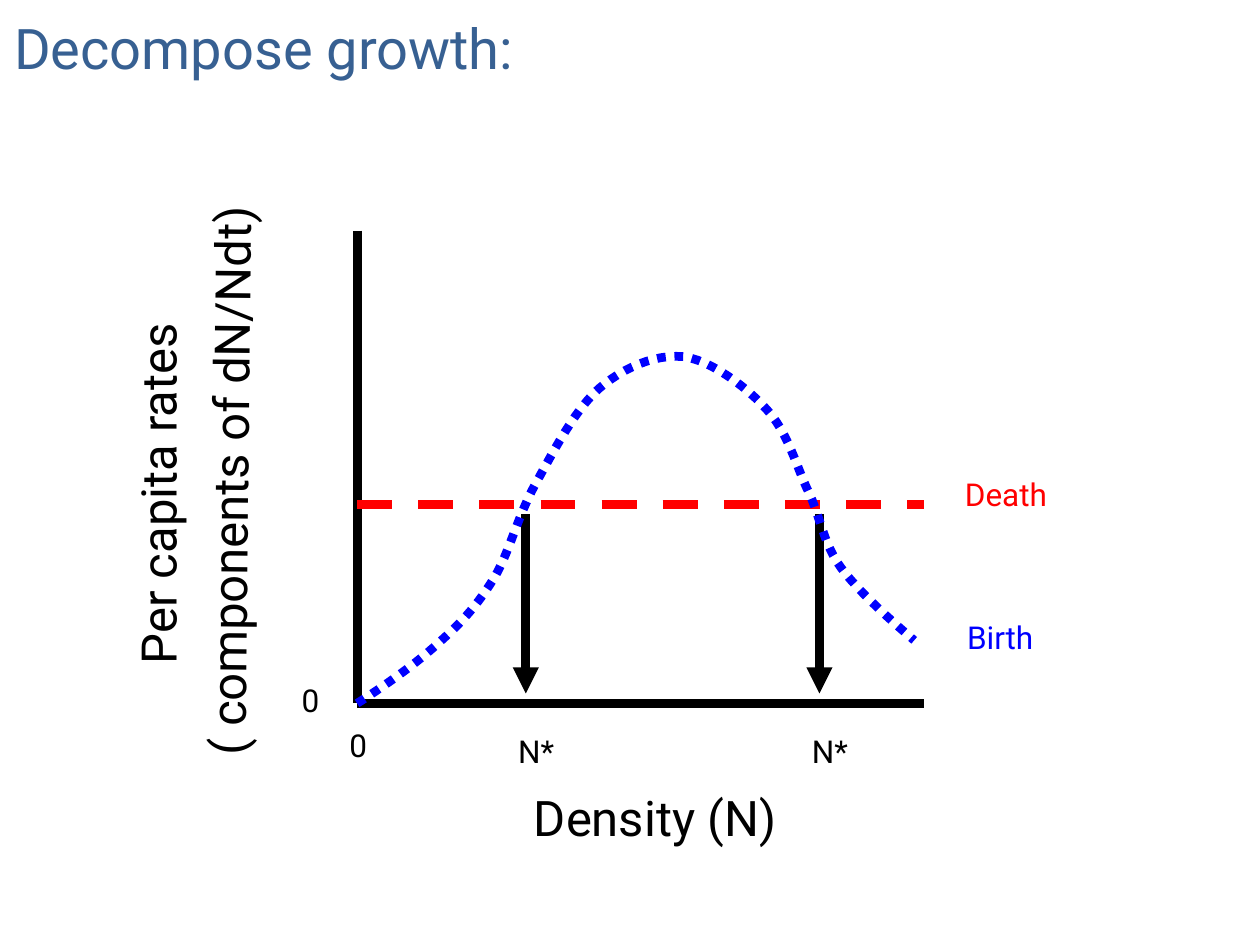
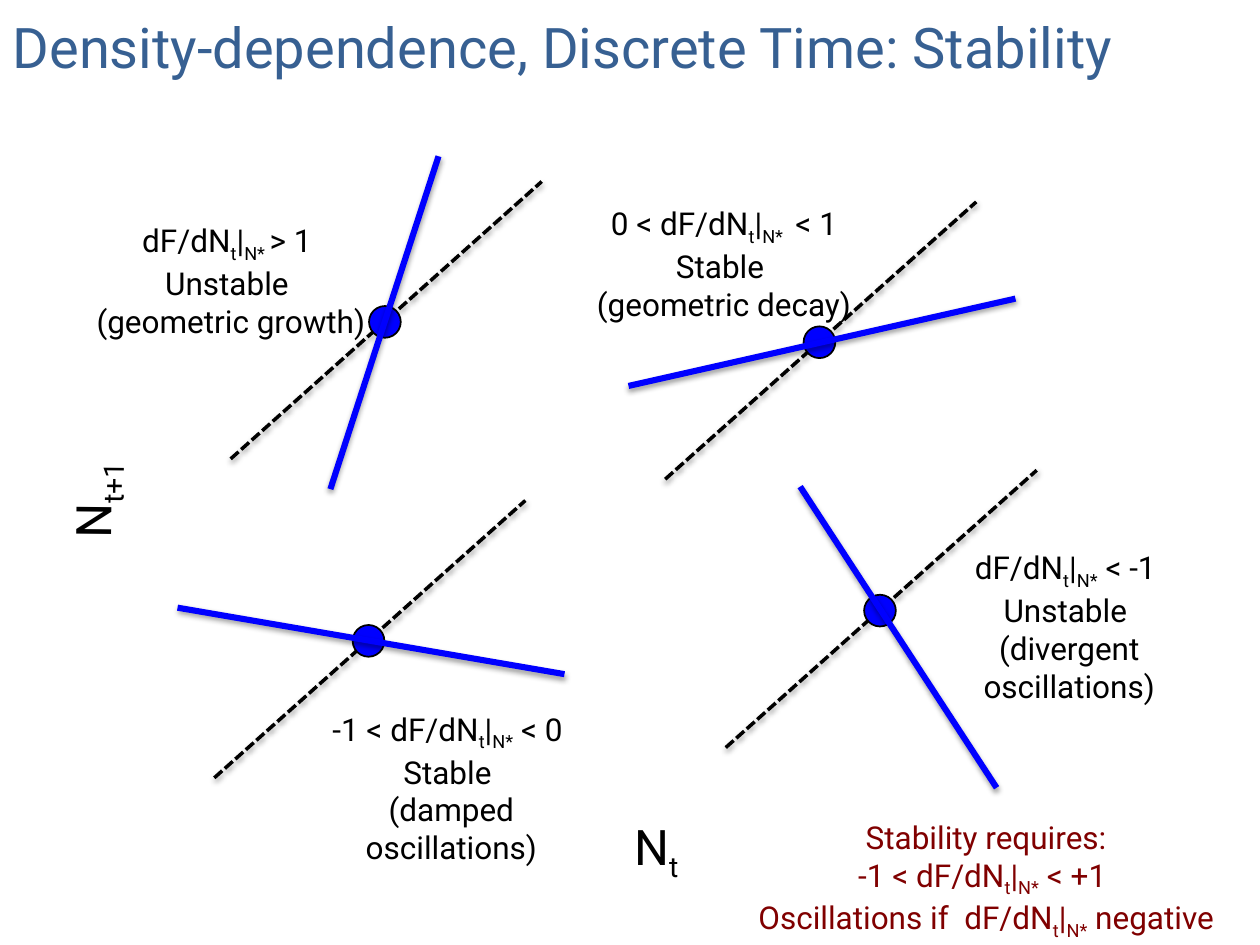
"""Build two slides on population growth and density-dependent stability."""
import lxml.etree
import pptx
import pptx.dml.color
import pptx.enum.dml
import pptx.enum.shapes
import pptx.enum.text
import pptx.oxml.ns
import pptx.util

Cm = pptx.util.Cm
Pt = pptx.util.Pt
RGBColor = pptx.dml.color.RGBColor
Dash = pptx.enum.dml.MSO_LINE
Align = pptx.enum.text.PP_ALIGN
AutoSize = pptx.enum.text.MSO_AUTO_SIZE

BLACK = RGBColor(0x00, 0x00, 0x00)
BLUE = RGBColor(0x00, 0x00, 0xFF)
RED = RGBColor(0xFF, 0x00, 0x00)
MAROON = RGBColor(0x80, 0x00, 0x00)
TITLE_BLUE = RGBColor(0x37, 0x60, 0x92)
FONT = "Roboto"
SUBSCRIPT_MARK = "~"
TITLE_ONLY = 5
AXIS_LABEL_SIZE = 28
DOT_SIZE = 0.64
DIAGONAL = (-3.11, 2.76, 3.16, -2.83)

BIRTH_START = (0, 0)
BIRTH_SEGMENTS = [
    ((0.64, 0.41), (1.24, 0.84), (1.7, 1.27)),
    ((2.16, 1.68), (2.44, 2.01), (2.77, 2.54)),
    ((3.07, 3.05), (3.25, 3.81), (3.61, 4.45)),
    ((3.96, 5.08), (4.39, 5.92), (4.88, 6.35)),
    ((5.36, 6.76), (5.99, 7.04), (6.58, 6.99)),
    ((7.14, 6.91), (7.85, 6.38), (8.26, 5.92)),
    ((8.69, 5.46), (8.86, 4.75), (9.12, 4.22)),
    ((9.35, 3.71), (9.4, 3.23), (9.75, 2.74)),
    ((10.11, 2.26), (10.67, 1.75), (11.23, 1.27)),
]

PANELS = [
    dict(center=(7.76, 6.49), response=(1.08, -3.34, -1.1, 3.37),
         caption=(-6.46, -2.15, 6.71, 2.57),
         lines=["dF/dN~t~|~N* ~> 1 ", "Unstable ", "(geometric growth)"]),
    dict(center=(16.52, 6.9), response=(3.95, -0.88, -3.85, 0.88),
         caption=(-4.91, -2.91, 5.97, 2.57),
         lines=["0 < dF/dN~t~|~N* ~ < 1", "Stable ", "(geometric decay)"]),
    dict(center=(7.43, 12.92), response=(3.95, 0.67, -3.85, -0.67),
         caption=(-1.38, 1.26, 6.1, 3.33),
         lines=["-1 < dF/dN~t~|~N*~ < 0 ", "Stable ", "(damped oscillations)"]),
    dict(center=(17.74, 12.31), response=(2.35, 3.57, -1.61, -2.5),
         caption=(0.6, -1.38, 6.43, 3.33),
         lines=["dF/dN~t~|~N*~ < -1 ", "Unstable ", "(divergent oscillations)"]),
]


def write_text(frame, lines, size=18, color=BLACK, align=Align.CENTER, spacing=None):
    """Write lines into a frame, with marked stretches as subscripts."""
    for index, line in enumerate(lines):
        para = frame.paragraphs[0] if index == 0 else frame.add_paragraph()
        para.alignment = align
        if spacing:
            para.line_spacing = spacing
        for part, text in enumerate(line.split(SUBSCRIPT_MARK)):
            span = para.add_run()
            span.text = text
            span.font.name = FONT
            span.font.size = Pt(size)
            span.font.color.rgb = color
            if part % 2:
                span.font._element.set("baseline", "-25000")


def add_label(page, place, lines, origin=(0, 0), rotation=0, wrap=False, **text_format):
    """Add a text box at a place measured from the origin."""
    left, top, width, height = place
    box = page.shapes.add_textbox(Cm(origin[0] + left), Cm(origin[1] + top),
                                  Cm(width), Cm(height))
    box.rotation = rotation
    box.text_frame.word_wrap = wrap
    box.text_frame.auto_size = AutoSize.SHAPE_TO_FIT_TEXT
    write_text(box.text_frame, lines, **text_format)


def format_line(line, color, width, dash=None):
    """Set the colour, width and dash of a line."""
    line.color.rgb = color
    line.width = Pt(width)
    if dash:
        line.dash_style = dash


def add_child(parent, tag, **attributes):
    """Append a drawing element to its parent."""
    return lxml.etree.SubElement(parent, pptx.oxml.ns.qn(tag), **attributes)


def add_line(page, ends, origin, color=BLACK, width=5, dash=None, arrow=False, shadow=False):
    """Add a straight line between two ends measured from the origin."""
    x, y = origin
    line = page.shapes.add_connector(
        pptx.enum.shapes.MSO_CONNECTOR.STRAIGHT,
        Cm(x + ends[0]), Cm(y + ends[1]), Cm(x + ends[2]), Cm(y + ends[3]))
    format_line(line.line, color, width, dash)
    if arrow:
        add_child(line.line._get_or_add_ln(), "a:tailEnd", type="triangle")
    effects = add_child(line._element.spPr, "a:effectLst")
    if shadow:
        outer = add_child(effects, "a:outerShdw", blurRad="40000", dist="20000",
                          dir="5400000", rotWithShape="0")
        tint = add_child(outer, "a:srgbClr", val=str(BLACK))
        add_child(tint, "a:alpha", val="38000")


def add_page(deck, title, left=0.0, top=0.0, spacing=None):
    """Add a title-only slide and format its title."""
    page = deck.slides.add_slide(deck.slide_layouts[TITLE_ONLY])
    box = page.shapes.title
    box.left, box.top, box.width, box.height = Cm(left), Cm(top), Cm(25.17), Cm(1.7)
    frame = box.text_frame
    frame.auto_size = AutoSize.NONE
    frame.word_wrap = True
    frame.vertical_anchor = pptx.enum.text.MSO_ANCHOR.TOP
    write_text(frame, [title], size=32, color=TITLE_BLUE, align=Align.LEFT, spacing=spacing)
    return page


def curve_points(start, segments, steps=12):
    """Return points along a chain of cubic curves."""
    points = []
    for first, second, end in segments:
        for step in range(1, steps + 1):
            t = step / steps
            weights = ((1 - t) ** 3, 3 * t * (1 - t) ** 2, 3 * t * t * (1 - t), t ** 3)
            corners = (start, first, second, end)
            points.append(tuple(sum(weight * corner[axis] for weight, corner
                                    in zip(weights, corners)) for axis in (0, 1)))
        start = end
    return points


def add_birth_curve(page, origin):
    """Draw the dotted birth rate curve from the axis origin."""
    def locate(point):
        """Convert a point above the origin to slide lengths."""
        return Cm(origin[0] + point[0]), Cm(origin[1] - point[1])

    builder = page.shapes.build_freeform(*locate(BIRTH_START))
    builder.add_line_segments(
        [locate(point) for point in curve_points(BIRTH_START, BIRTH_SEGMENTS)], close=False)
    curve = builder.convert_to_shape()
    curve.shadow.inherit = False
    curve.fill.background()
    format_line(curve.line, BLUE, 5, Dash.ROUND_DOT)
    curve.line._get_or_add_ln().find(pptx.oxml.ns.qn("a:prstDash")).set("val", "sysDot")


def add_rate_plot(page, left, top, width, height):
    """Draw the birth and death rates against density."""
    origin = (left, top + height)
    add_line(page, (0, -height, 0, 0), origin)
    add_line(page, (0, 0, width, 0), origin)
    for place in ((-0.41, 0.33, 0.86, 1.02), (-1.37, -0.58, 0.86, 1.02)):
        add_label(page, place, ["0"], origin)
    for text, place, rotation in (
            ("Density (N)", (3.3, 1.57, 5.41, 1.45), 0),
            ("( components of dN/Ndt)", (-8.46, -5.21, 11.76, 1.45), 270.6),
            ("Per capita rates", (-7.72, -4.95, 7.39, 1.45), 270)):
        add_label(page, place, [text], origin, rotation, size=AXIS_LABEL_SIZE)
    for equilibrium in (3.4, 9.32):
        add_line(page, (equilibrium, -3.81, equilibrium, -0.2), origin, arrow=True)
        add_label(page, (equilibrium - 0.44, 0.46, 1.3, 1.02), ["N*"], origin)
    add_line(page, (0, -4.01, width, -4.01), origin, color=RED, dash=Dash.DASH)
    add_label(page, (11.91, -4.72, 2.34, 1.02), ["Death"], origin, color=RED)
    add_birth_curve(page, origin)
    add_label(page, (12.04, -1.85, 1.85, 1.02), ["Birth"], origin, color=BLUE)


def add_stability_panel(page, center, response, caption, lines):
    """Draw one equilibrium with its diagonal, response line and caption."""
    add_line(page, DIAGONAL, center, width=2, dash=Dash.SQUARE_DOT, shadow=True)
    page_line = page.shapes[-1].line._get_or_add_ln()
    page_line.find(pptx.oxml.ns.qn("a:prstDash")).set("val", "sysDash")
    dot = page.shapes.add_shape(
        pptx.enum.shapes.MSO_SHAPE.OVAL, Cm(center[0] - DOT_SIZE / 2),
        Cm(center[1] - DOT_SIZE / 2), Cm(DOT_SIZE), Cm(DOT_SIZE))
    dot.shadow.inherit = False
    dot.fill.solid()
    dot.fill.fore_color.rgb = BLUE
    format_line(dot.line, BLACK, 1)
    add_line(page, response, center, color=BLUE, width=3.5, shadow=True)
    add_label(page, caption, lines, center, wrap=True)


def build_growth(deck):
    """Build the slide that splits growth into birth and death."""
    page = add_page(deck, "Decompose growth:", left=0.03, top=-0.05, spacing=1.15)
    add_rate_plot(page, 7.2, 4.65, 11.43, 9.53)


def build_stability(deck):
    """Build the slide of four stability cases."""
    page = add_page(deck, "Density-dependence, Discrete Time: Stability", top=0.13)
    add_label(page, (12.47, 16.33, 1.52, 1.45), ["N~t"], size=AXIS_LABEL_SIZE)
    add_label(page, (0.69, 9.35, 2.34, 1.45), ["N~t+1"], rotation=270.6, size=AXIS_LABEL_SIZE)
    for panel in PANELS:
        add_stability_panel(page, **panel)
    add_label(page, (14.05, 16.36, 11.66, 2.57),
              ["Stability requires:", "-1 < dF/dN~t~|~N*~ < +1 ",
               "Oscillations if  dF/dN~t~|~N*~ negative"], wrap=True, color=MAROON)


def main():
    """Build and save the deck."""
    deck = pptx.Presentation()
    deck.slide_width, deck.slide_height = Cm(25.4), Cm(19.05)
    build_growth(deck)
    build_stability(deck)
    deck.save("out.pptx")


if __name__ == "__main__":
    main()
